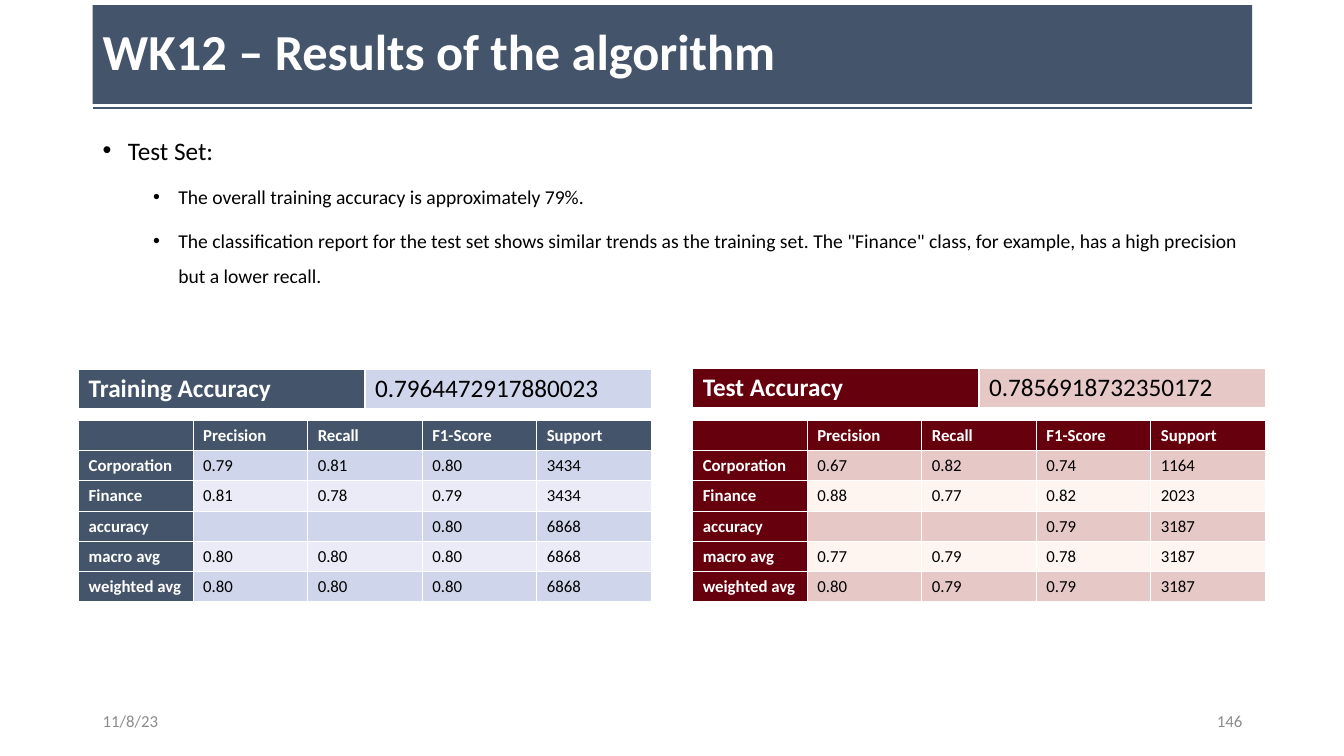
"""Build the slide comparing training and test results of the algorithm."""
import lxml.etree
import pptx
import pptx.dml.color
import pptx.enum.shapes
import pptx.enum.text
import pptx.oxml.ns
import pptx.util

Inches, Pt = pptx.util.Inches, pptx.util.Pt
ALIGN, ANCHOR = pptx.enum.text.PP_ALIGN, pptx.enum.text.MSO_ANCHOR
qn = pptx.oxml.ns.qn

COLORS = {
    "slate": "44546A", "slate_band": "CFD6EB", "slate_pale": "EAEBF6",
    "maroon": "66000D", "maroon_band": "E6C9C7", "maroon_pale": "FFF5F0",
    "white": "FFFFFF", "black": "000000", "gray": "8C8C8C",
}
TITLE = "WK12 – Results of the algorithm"
FINDINGS = [
    (0, "Test Set:"),
    (1, "The overall training accuracy is approximately 79%."),
    (1, 'The classification report for the test set shows similar trends as the '
        'training set. The "Finance" class, for example, has a high precision '
        'but a lower recall.'),
]
FINDING_LEVELS = [{"size": 18, "indent": 0.25}, {"size": 14, "indent": 0.75}]
DATE, PAGE = "11/8/23", "146"
METRICS = ["", "Precision", "Recall", "F1-Score", "Support"]
REPORTS = [
    {"left": 0.78, "top": 3.66, "hue": "slate",
     "accuracy": ["Training Accuracy", "0.7964472917880023"],
     "scores": [
         ["Corporation", "0.79", "0.81", "0.80", "3434"],
         ["Finance", "0.81", "0.78", "0.79", "3434"],
         ["accuracy", "", "", "0.80", "6868"],
         ["macro avg", "0.80", "0.80", "0.80", "6868"],
         ["weighted avg", "0.80", "0.80", "0.80", "6868"]]},
    {"left": 6.87, "top": 3.65, "hue": "maroon",
     "accuracy": ["Test Accuracy", "0.7856918732350172"],
     "scores": [
         ["Corporation", "0.67", "0.82", "0.74", "1164"],
         ["Finance", "0.88", "0.77", "0.82", "2023"],
         ["accuracy", "", "", "0.79", "3187"],
         ["macro avg", "0.77", "0.79", "0.78", "3187"],
         ["weighted avg", "0.80", "0.79", "0.79", "3187"]]},
]
LEFT, WIDTH = 0.92, 11.5
REPORT_WIDTH, SCORES_TOP, SCORES_ROW, ACCURACY_ROW = 5.68, 4.17, 0.3, 0.41


def rgb(color):
    return pptx.dml.color.RGBColor.from_string(COLORS[color])


def set_all(target, values):
    for key, value in values.items():
        setattr(target, key, value)


def write(paragraph, text, size, color, bold=False, **layout):
    set_all(paragraph, layout)
    if not text:
        lxml.etree.SubElement(paragraph._p, qn("a:endParaRPr"), sz=str(size * 100))
        return
    run = paragraph.add_run()
    run.text = text
    set_all(run.font, {"size": Pt(size), "name": "Calibri", "bold": bold})
    run.font.color.rgb = rgb(color)


def add_text(slide, box, anchor):
    frame = slide.shapes.add_textbox(*map(Inches, box)).text_frame
    set_all(frame, {"word_wrap": True, "vertical_anchor": anchor})
    return frame


def add_title(slide):
    banner = slide.shapes.add_shape(
        pptx.enum.shapes.MSO_SHAPE.RECTANGLE,
        *map(Inches, (LEFT, 0.05, WIDTH, 0.98)))
    banner.shadow.inherit = False
    banner.fill.solid()
    banner.fill.fore_color.rgb = rgb("slate")
    banner.line.fill.background()
    set_all(banner.text_frame, {"word_wrap": True, "vertical_anchor": ANCHOR.MIDDLE})
    write(banner.text_frame.paragraphs[0], TITLE, 36, "white", True,
          alignment=ALIGN.LEFT, line_spacing=0.9)
    rule = slide.shapes.add_connector(
        pptx.enum.shapes.MSO_CONNECTOR.STRAIGHT,
        *map(Inches, (LEFT, 1.07, LEFT + WIDTH, 1.07)))
    rule.line.color.rgb = rgb("slate")
    rule.line.width = Pt(1.5)
    lxml.etree.SubElement(rule._element.spPr, qn("a:effectLst"))


def add_findings(slide):
    frame = add_text(slide, (LEFT, 1.14, WIDTH, 2.4), ANCHOR.TOP)
    for index, (level, text) in enumerate(FINDINGS):
        paragraph = frame.add_paragraph() if index else frame.paragraphs[0]
        style = FINDING_LEVELS[level]
        properties = paragraph._p.get_or_add_pPr()
        properties.set("marL", str(Inches(style["indent"])))
        properties.set("indent", str(-Inches(0.25)))
        lxml.etree.SubElement(properties, qn("a:buFont"), typeface="Arial")
        lxml.etree.SubElement(properties, qn("a:buChar"), char="•")
        write(paragraph, text, style["size"], "black",
              level=level, line_spacing=1.5, space_after=Pt(6))


def add_borders(cell, bottom):
    properties = cell._tc.get_or_add_tcPr()
    sides = {"lnL": 1, "lnR": 1, "lnT": 1, "lnB": bottom}
    for position, (side, width) in enumerate(sides.items()):
        border = lxml.etree.Element(qn("a:" + side), w=str(Pt(width)))
        fill = lxml.etree.SubElement(border, qn("a:solidFill"))
        lxml.etree.SubElement(fill, qn("a:srgbClr"), val=COLORS["white"])
        properties.insert(position, border)


def add_grid(slide, rows, left, top, row_height, size, hue, header, bottom):
    columns = len(rows[0])
    table = slide.shapes.add_table(
        len(rows), columns, Inches(left), Inches(top),
        Inches(REPORT_WIDTH), Inches(row_height * len(rows))).table
    set_all(table, {"first_row": False, "horz_banding": False})
    for row_index, row in enumerate(rows):
        for column, text in enumerate(row):
            cell = table.cell(row_index, column)
            is_label = column == 0 or row_index < header
            band = "_pale" if (row_index - header) % 2 else "_band"
            cell.fill.solid()
            cell.fill.fore_color.rgb = rgb(hue if is_label else hue + band)
            add_borders(cell, bottom)
            write(cell.text_frame.paragraphs[0], text, size,
                  "white" if is_label else "black", is_label)


def main():
    deck = pptx.Presentation()
    set_all(deck, {"slide_width": Inches(13.33), "slide_height": Inches(7.5)})
    slide = deck.slides.add_slide(deck.slide_layouts[6])
    add_title(slide)
    add_findings(slide)
    for text, left, alignment in ((DATE, LEFT, ALIGN.LEFT),
                                  (PAGE, LEFT + WIDTH - 3, ALIGN.RIGHT)):
        footer = add_text(slide, (left, 6.95, 3, 0.4), ANCHOR.MIDDLE)
        write(footer.paragraphs[0], text, 12, "gray", alignment=alignment)
    for report in REPORTS:
        left, hue = report["left"], report["hue"]
        add_grid(slide, [METRICS] + report["scores"], left, SCORES_TOP,
                 SCORES_ROW, 12, hue, header=1, bottom=1)
        add_grid(slide, [report["accuracy"]], left, report["top"],
                 ACCURACY_ROW, 18, hue, header=0, bottom=3)
    deck.save("out.pptx")


if __name__ == "__main__":
    main()
